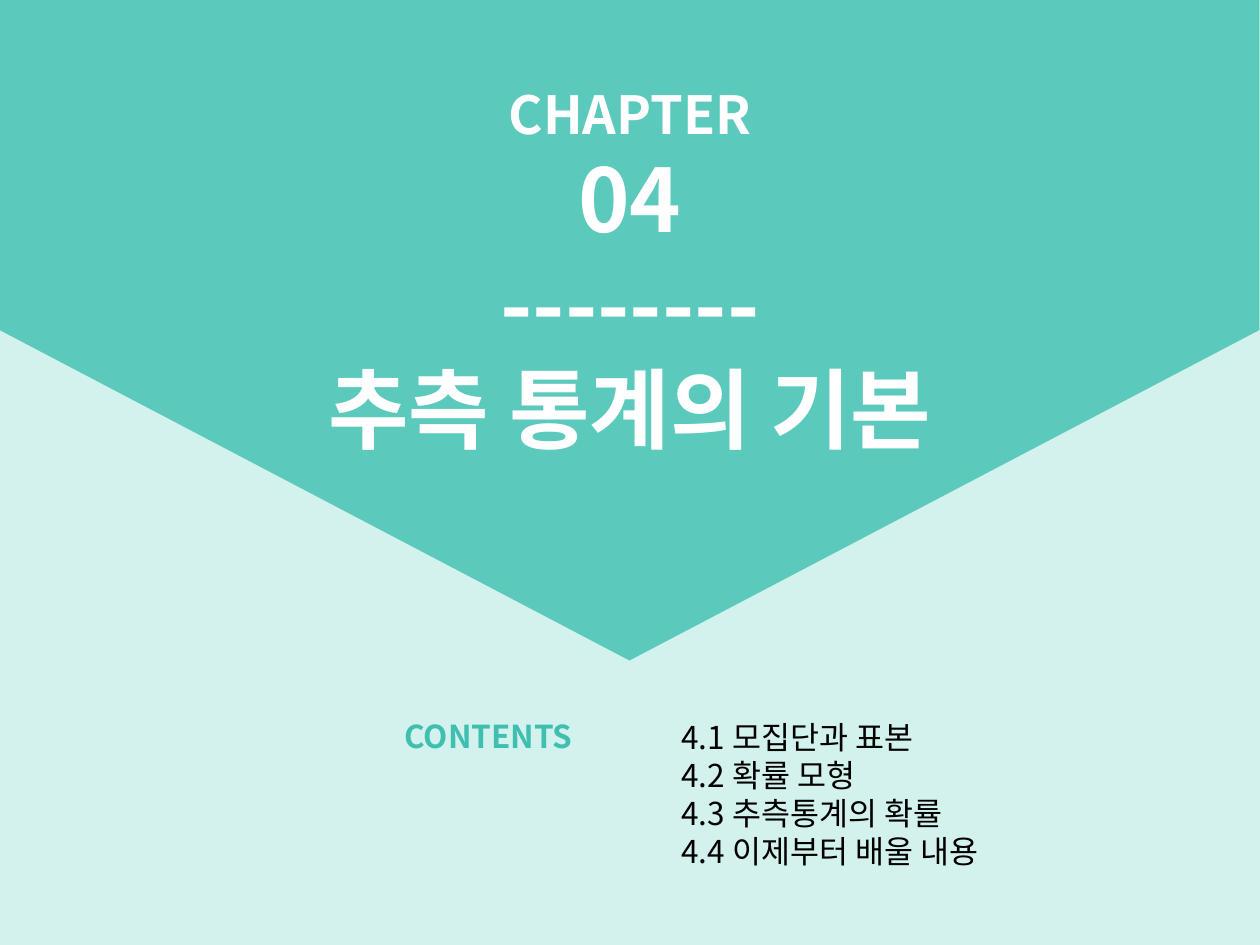
from pptx import Presentation
from pptx import util as u
from pptx.dml.color import RGBColor
from pptx.enum import shapes, text
from pptx.oxml.ns import qn

PX = u.Inches(1) // 126
WIDE, HIGH = 1260, 945
THEME = {
    "font": "Noto Sans CJK KR",
    "pale": "D3F1ED", "teal": "5BC9BC", "label": "3FBFB0",
    "white": "FFFFFF", "black": "000000",
    "small": 18, "medium": 30, "large": 50,
}
TITLE = [("CHAPTER", "medium"), ("04", "large"), ("--------", "large"),
         ("추측 통계의 기본", "large")]
TOPICS = [(line, "small") for line in (
    "4.1 모집단과 표본", "4.2 확률 모형",
    "4.3 추측통계의 확률", "4.4 이제부터 배울 내용")]
LABEL = [("CONTENTS", "small")]


def color(name):
    return RGBColor.from_string(THEME[name])


def place(shape, box):
    shape.left, shape.top, shape.width, shape.height = (n * PX for n in box)


def panel(slide, kind, box, fill):
    shape = slide.shapes.add_shape(kind, *(n * PX for n in box))
    shape.shadow.inherit = False
    shape.fill.solid()
    shape.fill.fore_color.rgb = color(fill)
    shape.line.fill.background()
    return shape


def write(shape, lines, ink, bold=False, align=text.PP_ALIGN.LEFT):
    frame = shape.text_frame
    frame.text = "\n".join(line for line, _ in lines)
    frame.word_wrap = True
    frame.auto_size = text.MSO_AUTO_SIZE.NONE
    frame.vertical_anchor = text.MSO_ANCHOR.TOP
    for para, (_, size) in zip(frame.paragraphs, lines):
        para.alignment = align
        para.line_spacing = 1.0
        para.space_before = u.Pt(0)
        font = para.runs[0].font
        font.name, font.bold = THEME["font"], bold
        font.size = u.Pt(THEME[size])
        font.color.rgb = color(ink)
        east = font._element.makeelement(qn("a:ea"), {"typeface": THEME["font"]})
        font._element.find(qn("a:latin")).addnext(east)


def main():
    deck = Presentation()
    deck.slide_width, deck.slide_height = WIDE * PX, HIGH * PX
    slide = deck.slides.add_slide(deck.slide_layouts[5])
    title = slide.shapes.title

    kinds = shapes.MSO_SHAPE
    panel(slide, kinds.RECTANGLE, (0, 0, WIDE, HIGH), "pale")
    depth = 661
    arrow = panel(slide, kinds.PENTAGON,
                  ((WIDE - depth) // 2, (depth - WIDE) // 2, depth, WIDE), "teal")
    arrow.rotation = 90

    # The title lies above both panels.
    slide.shapes._spTree.append(title._element)
    place(title, (238, 76, 784, 394))
    write(title, TITLE, "white", True, text.PP_ALIGN.CENTER)
    for box, lines, ink, bold in (
            ((669, 712, 417, 165), TOPICS, "black", False),
            ((392, 711, 218, 50), LABEL, "label", True)):
        area = slide.shapes.add_textbox(*(n * PX for n in box))
        write(area, lines, ink, bold)
    deck.save("out.pptx")


if __name__ == "__main__":
    main()
